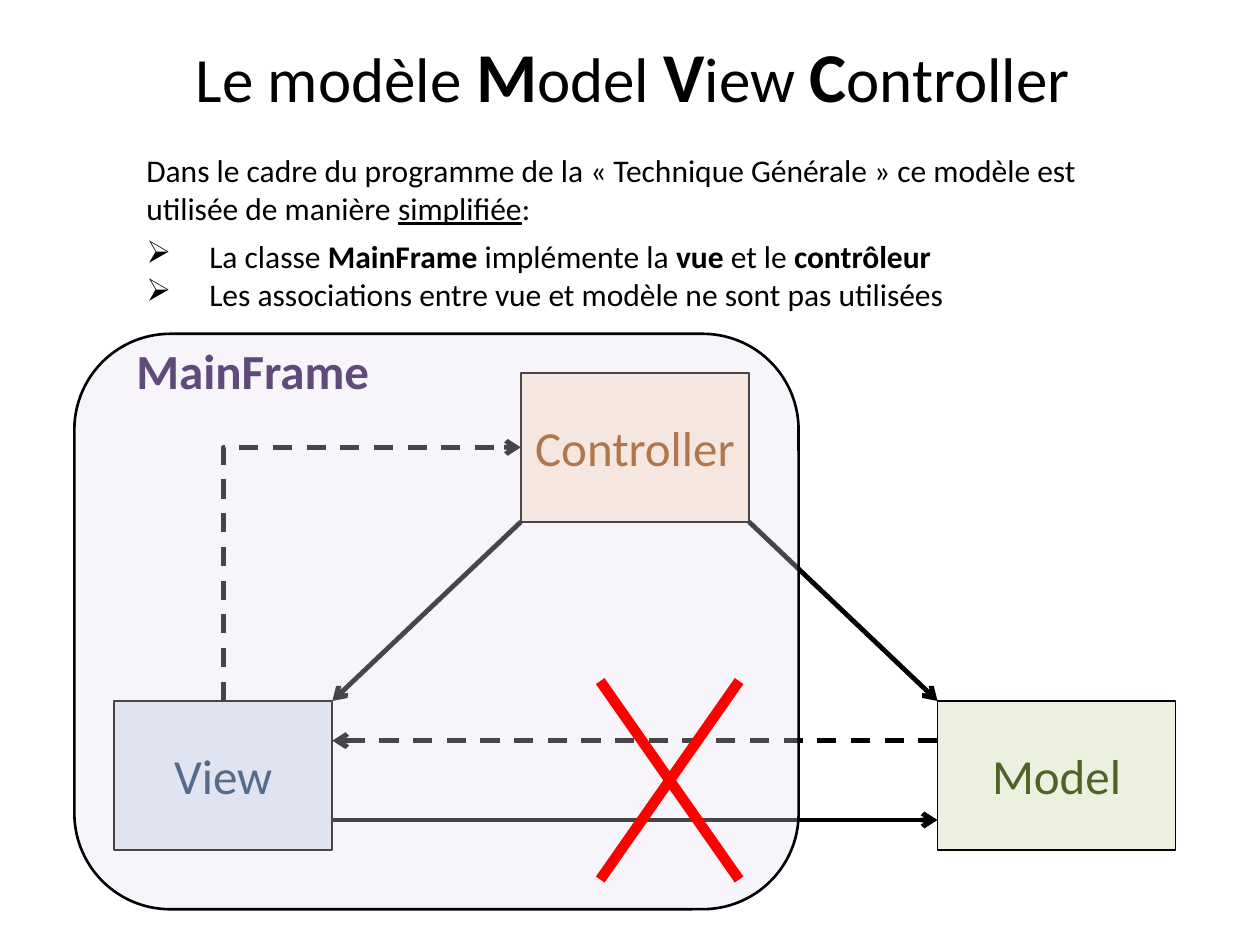
import dataclasses

import lxml.etree
import pptx
import pptx.dml.color
import pptx.enum.dml
import pptx.enum.shapes
import pptx.enum.text
import pptx.oxml.ns
import pptx.util

Cm = pptx.util.Cm
SHAPES = pptx.enum.shapes.MSO_SHAPE
CONNECTORS = pptx.enum.shapes.MSO_CONNECTOR
ALIGN = pptx.enum.text.PP_ALIGN


@dataclasses.dataclass(frozen=True)
class Theme:
    font: str = "Calibri"
    black: str = "000000"
    cross: str = "FF0000"
    view: tuple = ("DCE6F2", "17375E")
    controller: tuple = ("FDEADA", "984807")
    model: tuple = ("EBF1DE", "4F6228")
    frame: tuple = ("E6E0EC", "604A7B")
    title_size: int = 36
    initial_size: int = 40
    label_size: int = 28
    body_size: int = 18
    box_line: float = 1
    frame_line: float = 1.5
    arrow_line: float = 2.75
    cross_line: float = 6


THEME = Theme()


@dataclasses.dataclass(frozen=True)
class Box:
    left: float
    top: float
    width: float
    height: float

    @property
    def right(self):
        return self.left + self.width

    @property
    def bottom(self):
        return self.top + self.height

    def lengths(self):
        return [Cm(value) for value in dataclasses.astuple(self)]


def rgb(color):
    return pptx.dml.color.RGBColor.from_string(color)


def set_values(target, values):
    for name, value in values.items():
        setattr(target, name, value)


def add_child(parent, tag, **attributes):
    return lxml.etree.SubElement(parent, pptx.oxml.ns.qn(tag), attributes)


def write_runs(paragraph, runs, size, color):
    for text, changes in runs:
        run = paragraph.add_run()
        run.text = text
        values = {"name": THEME.font, "size": pptx.util.Pt(size)} | changes
        set_values(run.font, values)
        run.font.color.rgb = rgb(color)


def add_shape(shapes, kind, box, fill, line_width):
    shape = shapes.add_shape(kind, *box.lengths())
    shape.shadow.inherit = False
    shape.fill.solid()
    shape.fill.fore_color.rgb = rgb(fill)
    shape.line.color.rgb = rgb(THEME.black)
    shape.line.width = pptx.util.Pt(line_width)
    return shape


def add_component(shapes, name, box, colors):
    fill, color = colors
    shape = add_shape(shapes, SHAPES.RECTANGLE, box, fill, THEME.box_line)
    shape.text_frame.vertical_anchor = pptx.enum.text.MSO_ANCHOR.MIDDLE
    paragraph = shape.text_frame.paragraphs[0]
    paragraph.alignment = ALIGN.CENTER
    write_runs(paragraph, [(name, {})], THEME.label_size, color)


def add_text(shapes, box, paragraphs, size, color, wrap=False):
    frame = shapes.add_textbox(*box.lengths()).text_frame
    set_values(frame, {
        "word_wrap": wrap,
        "auto_size": pptx.enum.text.MSO_AUTO_SIZE.SHAPE_TO_FIT_TEXT,
    })
    for index, (runs, values) in enumerate(paragraphs):
        paragraph = frame.add_paragraph() if index else frame.paragraphs[0]
        set_values(paragraph, values)
        write_runs(paragraph, runs, size, color)
        if paragraph.level:
            add_bullet(paragraph)


def add_bullet(paragraph):
    properties = paragraph._p.get_or_add_pPr()
    indent = Cm(1.27)
    properties.set("marL", str(indent))
    properties.set("indent", str(-indent))
    add_child(properties, "a:buChar", char="➢")


def add_line(shapes, start, end, color, width, kind=CONNECTORS.STRAIGHT):
    connector = shapes.add_connector(kind, *[Cm(value) for value in start + end])
    connector.line.color.rgb = rgb(color)
    connector.line.width = pptx.util.Pt(width)
    add_child(connector._element.spPr, "a:effectLst")
    return connector


def add_arrow(shapes, start, end, dashed=False, kind=CONNECTORS.STRAIGHT):
    connector = add_line(shapes, start, end, THEME.black, THEME.arrow_line, kind)
    if dashed:
        connector.line.dash_style = pptx.enum.dml.MSO_LINE.DASH
    add_child(connector.line._get_or_add_ln(), "a:tailEnd", type="arrow")
    return connector


def add_corner_arrow(shapes, start, end):
    center_x, center_y = [(a + b) / 2 for a, b in zip(start, end)]
    half_width, half_height = [abs(a - b) / 2 for a, b in zip(start, end)]
    connector = add_arrow(
        shapes,
        (center_x + half_height, center_y + half_width),
        (center_x - half_height, center_y - half_width),
        True, CONNECTORS.ELBOW)
    properties = connector._element.spPr
    properties.find(pptx.oxml.ns.qn("a:xfrm")).set("rot", str(90 * 60000))
    properties.find(pptx.oxml.ns.qn("a:prstGeom")).set("prst", "bentConnector2")


def add_diagram(shapes):
    view = Box(2.3, 14.13, 4.4, 3)
    controller = Box(10.5, 7.52, 4.6, 3)
    model = Box(18.9, 14.13, 4.8, 3)
    add_component(shapes, "View", view, THEME.view)
    add_component(shapes, "Controller", controller, THEME.controller)
    add_component(shapes, "Model", model, THEME.model)

    add_corner_arrow(
        shapes,
        (view.left + view.width / 2, view.top),
        (controller.left, controller.top + controller.height / 2))
    upper, lower = view.top + 0.8, view.top + 2.4
    add_arrow(shapes, (model.left, upper), (view.right, upper), True)
    add_arrow(shapes, (controller.left, controller.bottom), (view.right, view.top))
    add_arrow(shapes, (controller.right, controller.bottom), (model.left, model.top))
    add_arrow(shapes, (view.right, lower), (model.left, lower))


def add_main_frame(shapes):
    fill, color = THEME.frame
    frame = add_shape(shapes, SHAPES.ROUNDED_RECTANGLE, Box(1.5, 6.73, 14.6, 11.6),
                      fill, THEME.frame_line)
    fill_color = frame._element.spPr.find(".//" + pptx.oxml.ns.qn("a:srgbClr"))
    add_child(fill_color, "a:alpha", val="31000")
    add_text(shapes, Box(2.5, 6.73, 5.26, 1.45),
             [([("MainFrame", {"bold": True})], {})], THEME.label_size, color)


def add_cross(shapes, box):
    for start_x, end_x in ((box.right, box.left), (box.left, box.right)):
        add_line(shapes, (start_x, box.top), (end_x, box.bottom),
                 THEME.cross, THEME.cross_line)


def main():
    presentation = pptx.Presentation()
    set_values(presentation, {"slide_width": Cm(25.4), "slide_height": Cm(19.05)})
    slide = presentation.slides.add_slide(presentation.slide_layouts[6])
    shapes = slide.shapes
    bold = {"bold": True}
    initial = bold | {"size": pptx.util.Pt(THEME.initial_size)}

    add_diagram(shapes)
    title = [("Le modèle ", {}), ("M", initial), ("odel ", {}), ("V", initial),
             ("iew ", {}), ("C", initial), ("ontroller", {})]
    add_text(shapes, Box(3.7, 0.53, 18.14, 1.95), [(title, {})],
             THEME.title_size, THEME.black)
    body = [
        ([("Dans le cadre du programme de la « Technique Générale » ce modèle est "
           "utilisée de manière ", {}), ("simplifiée", {"underline": True}), (":", {})],
         {"space_after": pptx.util.Pt(6)}),
        ([("La classe ", {}), ("MainFrame", bold), (" implémente la ", {}),
          ("vue", bold), (" et le ", {}), ("contrôleur", bold)], {"level": 1}),
        ([("Les associations entre vue et modèle ne sont pas utilisées", {})],
         {"level": 1}),
    ]
    add_text(shapes, Box(2.7, 2.92, 21, 3.55), body,
             THEME.body_size, THEME.black, True)
    add_main_frame(shapes.add_group_shape().shapes)
    add_cross(shapes.add_group_shape().shapes, Box(12.1, 13.73, 2.8, 4))
    presentation.save("out.pptx")


if __name__ == "__main__":
    main()
